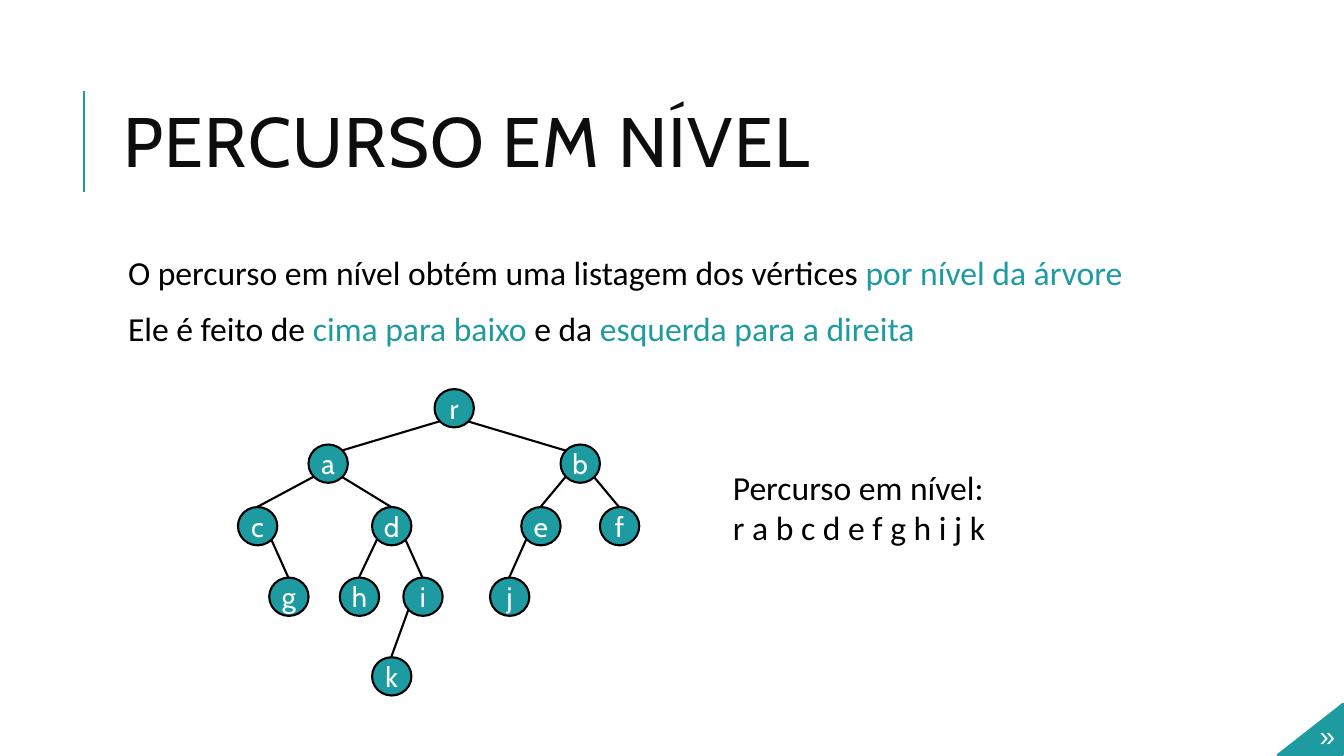
from dataclasses import dataclass
from math import sqrt

from lxml import etree
from pptx import Presentation
from pptx.dml.color import RGBColor
from pptx.enum.shapes import MSO_CONNECTOR, MSO_SHAPE
from pptx.enum.text import MSO_ANCHOR, MSO_AUTO_SIZE, PP_ALIGN
from pptx.oxml.ns import qn
from pptx.util import Emu, Pt

STRAIGHT = MSO_CONNECTOR.STRAIGHT
ELLIPSE = MSO_SHAPE.OVAL
MIDDLE = MSO_ANCHOR.MIDDLE
TOP = MSO_ANCHOR.TOP
LEFT = PP_ALIGN.LEFT
CENTER = PP_ALIGN.CENTER
NO_AUTOFIT = MSO_AUTO_SIZE.NONE

EMU_PER_PX = 9144
COLORS = {"teal": "1D9BA1", "black": "000000", "title": "0D0D0D", "white": "FFFFFF"}
LEVEL_TOPS = [386, 441, 503, 573, 652]
NODE_WIDTH, NODE_HEIGHT = 39, 38
DIAGONAL_X = round(NODE_WIDTH / 2 / sqrt(2))
DIAGONAL_Y = round(NODE_HEIGHT / 2 / sqrt(2))


@dataclass(frozen=True)
class Vertex:
    label: str
    left: int
    level: int
    parent: str = ""

    @property
    def center_x(self) -> int:
        return self.left + NODE_WIDTH // 2

    @property
    def top(self) -> int:
        return LEVEL_TOPS[self.level]

    @property
    def center_y(self) -> int:
        return self.top + NODE_HEIGHT // 2


@dataclass(frozen=True)
class Span:
    text: str
    color: str = "black"


@dataclass(frozen=True)
class TextBlock:
    box: tuple[int, int, int, int]
    paragraphs: list[list[Span]]
    font: str = "Calibri"
    size: int = 24
    inset_x: int = 10
    indent: int = 0
    line_spacing: float = 1.0
    gap: int = 0


VERTICES = [
    Vertex("r", 431, 0),
    Vertex("a", 306, 1, "r"),
    Vertex("b", 556, 1, "r"),
    Vertex("c", 236, 2, "a"),
    Vertex("d", 369, 2, "a"),
    Vertex("e", 517, 2, "b"),
    Vertex("f", 595, 2, "b"),
    Vertex("g", 267, 3, "c"),
    Vertex("h", 337, 3, "d"),
    Vertex("i", 400, 3, "d"),
    Vertex("j", 486, 3, "e"),
    Vertex("k", 369, 4, "i"),
]

EXPLANATION = TextBlock(
    (112, 250, 1063, 440),
    [
        [Span("O percurso em nível obtém uma listagem dos vértices "),
         Span("por nível da árvore", "teal")],
        [Span("Ele é feito de "), Span("cima para baixo ", "teal"),
         Span("e da "), Span("esquerda para a direita", "teal")],
    ],
    inset_x=5, indent=10, line_spacing=0.9, gap=14,
)
TRAVERSAL = TextBlock(
    (717, 458, 302, 91),
    [[Span("Percurso em nível:")],
     [Span(" ".join(vertex.label for vertex in VERTICES))]],
)
NEXT_MARK = TextBlock(
    (1292, 708, 43, 44), [[Span("»", "white")]], font="Arial", size=20, indent=7,
)


def px(length: int) -> Emu:
    return Emu(length * EMU_PER_PX)


def rgb(name: str) -> RGBColor:
    return RGBColor.from_string(COLORS[name])


def set_font(font, name: str, size: int, color: str) -> None:
    font.name = name
    font.size = Pt(size)
    font.color.rgb = rgb(color)


def paint(shape, line_color: str, width: float) -> None:
    shape.shadow.inherit = False
    shape.fill.solid()
    shape.fill.fore_color.rgb = rgb("teal")
    shape.line.color.rgb = rgb(line_color)
    shape.line.width = Pt(width)


def draw_line(slide, start: tuple[int, int], end: tuple[int, int], color: str) -> None:
    line = slide.shapes.add_connector(STRAIGHT, *map(px, start + end))
    line.line.color.rgb = rgb(color)
    line.line.width = Pt(1.5)
    etree.SubElement(line._element.spPr, qn("a:effectLst"))


def draw_title(slide, text: str) -> None:
    title = slide.shapes.title
    title.left, title.top, title.width, title.height = map(px, (112, 64, 1063, 164))
    frame = title.text_frame
    frame.text = text
    frame.auto_size = NO_AUTOFIT
    frame.vertical_anchor = MIDDLE
    heading = frame.paragraphs[0]
    heading.alignment = LEFT
    heading.line_spacing = 0.8
    run = heading.runs[0]
    set_font(run.font, "Cabin", 50, "title")
    run.font._element.set("spc", "100")


def draw_text(slide, block: TextBlock) -> None:
    frame = slide.shapes.add_textbox(*map(px, block.box)).text_frame
    frame.word_wrap = True
    frame.vertical_anchor = TOP
    frame.margin_left = frame.margin_right = px(block.inset_x)
    frame.margin_top = frame.margin_bottom = px(5)
    for index, spans in enumerate(block.paragraphs):
        paragraph = frame.add_paragraph() if index else frame.paragraphs[0]
        paragraph.alignment = LEFT
        paragraph.line_spacing = block.line_spacing
        paragraph.space_before = Pt(block.gap if index else 0)
        paragraph._p.get_or_add_pPr().set("marL", str(px(block.indent)))
        for span in spans:
            run = paragraph.add_run()
            run.text = span.text
            set_font(run.font, block.font, block.size, span.color)


def draw_edge(slide, parent: Vertex, child: Vertex) -> None:
    side = 1 if child.center_x > parent.center_x else -1
    start = (parent.center_x + side * DIAGONAL_X, parent.center_y + DIAGONAL_Y)
    end = (child.center_x, child.top)
    if child.level == 1:
        end = (child.center_x - side * DIAGONAL_X, child.center_y - DIAGONAL_Y)
    draw_line(slide, start, end, "black")


def draw_vertex(slide, vertex: Vertex) -> None:
    box = (vertex.left, vertex.top, NODE_WIDTH, NODE_HEIGHT)
    node = slide.shapes.add_shape(ELLIPSE, *map(px, box))
    paint(node, "black", 1.5)
    frame = node.text_frame
    frame.margin_left = frame.margin_right = frame.margin_top = frame.margin_bottom = 0
    frame.vertical_anchor = MIDDLE
    frame.text = vertex.label
    frame.paragraphs[0].alignment = CENTER
    set_font(frame.paragraphs[0].runs[0].font, "Cabin", 20, "white")


def draw_corner(slide) -> None:
    outline = slide.shapes.build_freeform(1267, 749, scale=EMU_PER_PX)
    outline.add_line_segments([(1332, 698), (1332, 749)], close=True)
    paint(outline.convert_to_shape(), "teal", 1.25)
    draw_text(slide, NEXT_MARK)


def main() -> None:
    deck = Presentation()
    deck.slide_width, deck.slide_height = px(1333), px(750)
    slide = deck.slides.add_slide(deck.slide_layouts.get_by_name("Title Only"))
    draw_line(slide, (83, 90), (83, 190), "teal")
    draw_title(slide, "PERCURSO EM NÍVEL")
    draw_text(slide, EXPLANATION)
    tree = {vertex.label: vertex for vertex in VERTICES}
    for vertex in VERTICES:
        if vertex.parent:
            draw_edge(slide, tree[vertex.parent], vertex)
        draw_vertex(slide, vertex)
    draw_text(slide, TRAVERSAL)
    draw_corner(slide)
    deck.save("out.pptx")


if __name__ == "__main__":
    main()
